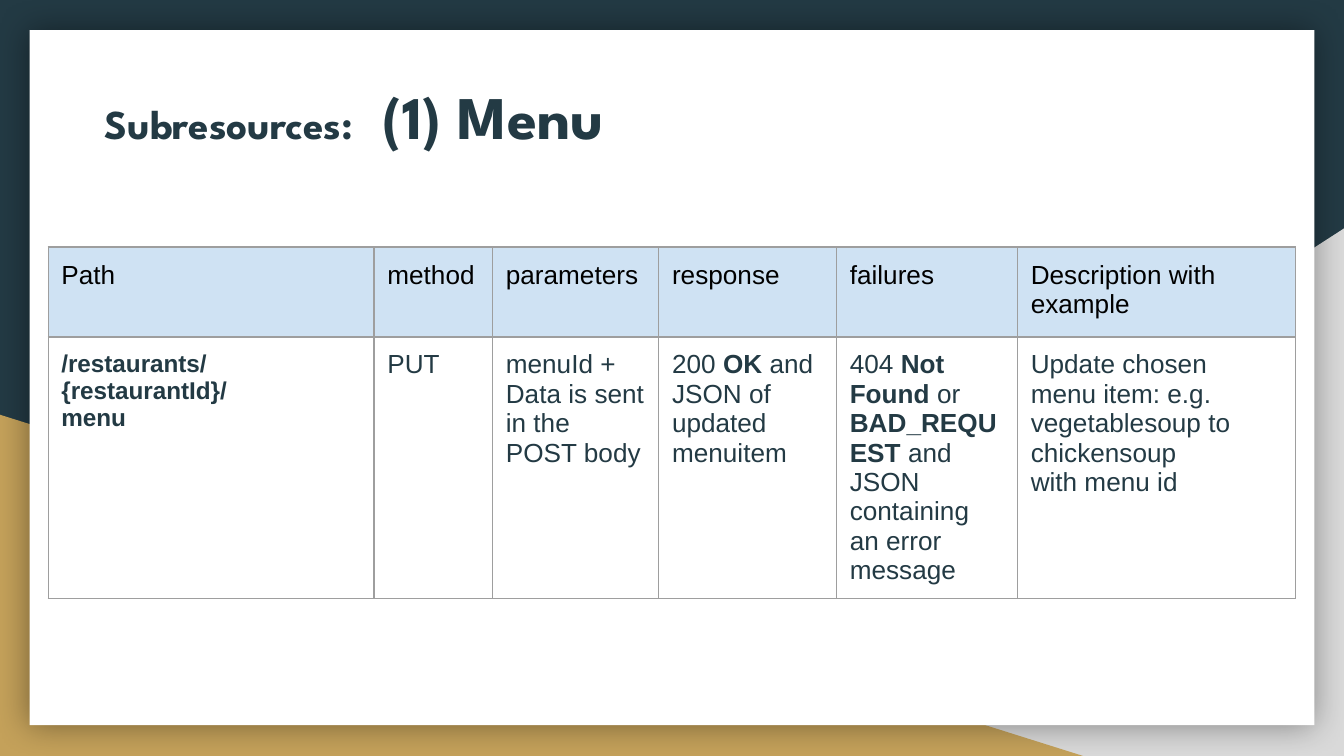
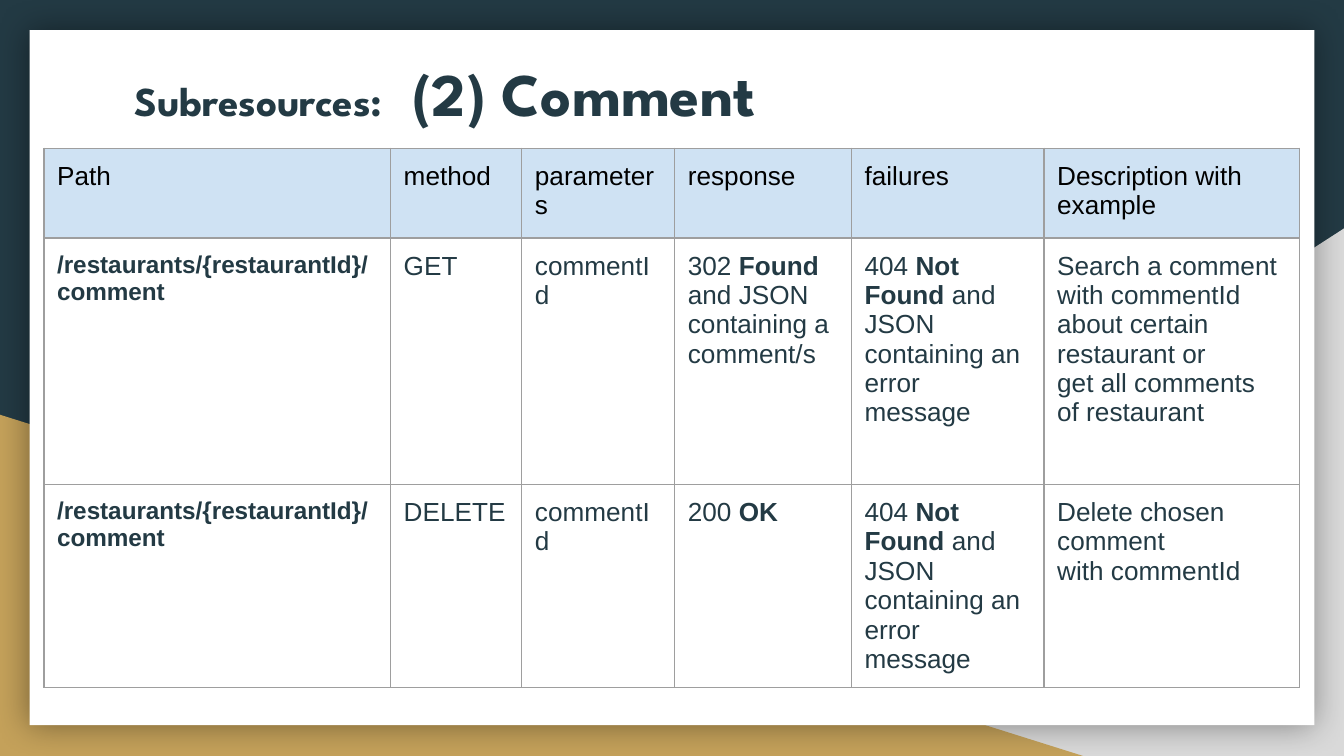
from pptx import Presentation
from pptx.dml.color import RGBColor
from pptx.enum.shapes import MSO_SHAPE as SHAPE
from pptx.enum.text import MSO_ANCHOR as ANCHOR, MSO_AUTO_SIZE as FIT, PP_ALIGN as ALIGN
from pptx.oxml import parse_xml
from pptx.oxml.ns import nsdecls, qn
from pptx.util import Cm, Pt

# Colours
NAVY = RGBColor(0x23, 0x3A, 0x44)
GOLD = RGBColor(0xC4, 0xA1, 0x5A)
GREY = RGBColor(0xD9, 0xD9, 0xD9)
WHITE = RGBColor(0xFF, 0xFF, 0xFF)
BLACK = RGBColor(0x00, 0x00, 0x00)
HEADER_BLUE = RGBColor(0xCF, 0xE2, 0xF3)
BORDER = RGBColor(0x9E, 0x9E, 0x9E)

# Text formats
TITLE_FONT = "League Spartan"
LABEL = {"name": TITLE_FONT, "size": Pt(22), "bold": True}
TOPIC = {"name": TITLE_FONT, "size": Pt(32.4), "bold": True}
CELL = {"name": "Arial", "size": Pt(14)}
PATH_CELL = {"name": "Arial", "size": Pt(13)}

HEADER = ["Path", "method", "parameters", "response", "failures",
          "Description with example"]
INSET = Cm(0.25)
MARGINS = {f"margin_{side}": INSET for side in ("left", "right", "top", "bottom")}


def set_all(obj, values):
    for name, value in values.items():
        setattr(obj, name, value)


class Deck:
    """Holds the shared style and the current slide."""

    def __init__(self):
        self.prs = Presentation()
        self.prs.slide_width, self.prs.slide_height = Cm(25.4), Cm(14.29)
        self.layout = self.prs.slide_layouts[5]
        self.s = None
        self.has_frame = False

    def add_slide(self):
        self.s = self.prs.slides.add_slide(self.layout)
        if not self.has_frame:
            self.add_frame()

    def add_frame(self):
        """Put the backdrop on the layout, so that every slide shows it."""
        fill = self.layout.background.fill
        fill.solid()
        fill.fore_color.rgb = NAVY
        right = self.add_block(SHAPE.RIGHT_TRIANGLE, GREY, 9.96, 4.32, 15.44, 9.97)
        right._element.spPr.xfrm.set("flipH", "1")
        left = self.add_block(SHAPE.RIGHT_TRIANGLE, GOLD, 0, 7.84, 20.47, 6.45)
        card = self.add_block(SHAPE.RECTANGLE, WHITE, 0.56, 0.57, 24.28, 13.14)
        card._element.spPr.find(qn("a:effectLst")).append(parse_xml(
            f'<a:outerShdw {nsdecls("a")} blurRad="{Pt(18)}" dist="0" algn="ctr" '
            'rotWithShape="0"><a:srgbClr val="000000"><a:alpha val="40000"/>'
            '</a:srgbClr></a:outerShdw>'))
        for i, sp in enumerate((right, left, card)):
            sp._element.nvSpPr.cNvPr.set("id", str(20 + i))
            self.layout.shapes._spTree.insert(2 + i, sp._element)
        self.has_frame = True

    def add_block(self, kind, color, *box):
        sp = self.s.shapes.add_shape(kind, *map(Cm, box))
        sp.fill.solid()
        sp.fill.fore_color.rgb = color
        sp.line.fill.background()
        sp.shadow.inherit = False
        return sp

    def add_run(self, p, text, color, font):
        r = p.add_run()
        r.text = text
        set_all(r.font, font)
        r.font.color.rgb = color

    def add_title(self, topic, left, top):
        sp = self.s.shapes.title
        set_all(sp, {"left": Cm(left), "top": Cm(top),
                     "width": Cm(20.85), "height": Cm(2.64)})
        tf = sp.text_frame
        set_all(tf, {"word_wrap": True, "auto_size": FIT.NONE,
                     "vertical_anchor": ANCHOR.TOP, **MARGINS})
        p = tf.paragraphs[0]
        p.alignment = ALIGN.LEFT
        # A tab stop sets the gap between label and topic
        p._p.get_or_add_pPr().append(parse_xml(
            f'<a:tabLst {nsdecls("a")}><a:tab pos="{Cm(5.25)}" algn="l"/></a:tabLst>'))
        self.add_run(p, "Subresources:", NAVY, LABEL)
        self.add_run(p, "\t" + topic, NAVY, TOPIC)

    def add_table(self, left, top, widths, heights, rows):
        frame = self.s.shapes.add_table(
            len(heights), len(widths), Cm(left), Cm(top),
            Cm(sum(widths)), Cm(sum(heights)))
        table = frame.table
        set_all(table, {"first_row": False, "horz_banding": False})
        for column, width in zip(table.columns, widths):
            column.width = Cm(width)
        for row, height in zip(table.rows, heights):
            row.height = Cm(height)
        for i, texts in enumerate([HEADER] + rows):
            for j, text in enumerate(texts):
                self.fill_cell(table.cell(i, j), text, i == 0, i > 0 and j == 0)

    def fill_cell(self, cell, text, is_header, is_path):
        set_all(cell, {"vertical_anchor": ANCHOR.TOP, **MARGINS})
        tcPr = cell._tc.get_or_add_tcPr()
        for side in "LRTB":
            tcPr.append(parse_xml(
                f'<a:ln{side} {nsdecls("a")} w="{Pt(0.75)}"><a:solidFill>'
                f'<a:srgbClr val="{BORDER}"/></a:solidFill></a:ln{side}>'))
        if is_header:
            cell.fill.solid()
            cell.fill.fore_color.rgb = HEADER_BLUE
        else:
            cell.fill.background()
        tf = cell.text_frame
        for i, line in enumerate(text.split("\n")):
            p = tf.add_paragraph() if i else tf.paragraphs[0]
            # Every second part between ** marks is bold
            for k, part in enumerate(line.split("**")):
                if part:
                    font = {**(PATH_CELL if is_path else CELL),
                            "bold": is_path or k % 2 == 1}
                    self.add_run(p, part, BLACK if is_header else NAVY, font)

    def save(self):
        self.prs.save("out.pptx")


def main():
    deck = Deck()
    base = "/restaurants/{restaurantId}/\n"
    not_found = "404 **Not Found** and JSON\ncontaining an error message"

    # Menu
    deck.add_slide()
    deck.add_title("(1) Menu", 1.73, 1.24)
    deck.add_table(0.91, 4.67, [6.16, 2.24, 3.14, 3.36, 3.42, 5.26], [1.7, 3.68], [
        [base + "menu", "PUT", "menuId +\nData is sent in the POST body",
         "200 **OK** and JSON of updated menuitem",
         "404 **Not Found **or** BAD_REQUEST **and JSON\n"
         "containing an error message",
         "Update chosen\nmenu item: e.g.\nvegetablesoup to\nchickensoup\nwith menu id"],
    ])

    # Comment
    deck.add_slide()
    deck.add_title("(2) Comment", 2.29, 0.81)
    deck.add_table(0.83, 2.8, [6.55, 2.48, 2.89, 3.34, 3.64, 4.83], [1.7, 4.66, 3.68], [
        [base + "comment", "GET", "commentId",
         "302 **Found** and JSON containing a comment/s", not_found,
         "Search a comment with commentId about certain restaurant or\n"
         "get all comments\nof restaurant"],
        [base + "comment", "DELETE", "commentId", "200 **OK**", not_found,
         "Delete chosen\ncomment\nwith commentId"],
    ])
    deck.save()


if __name__ == "__main__":
    main()
